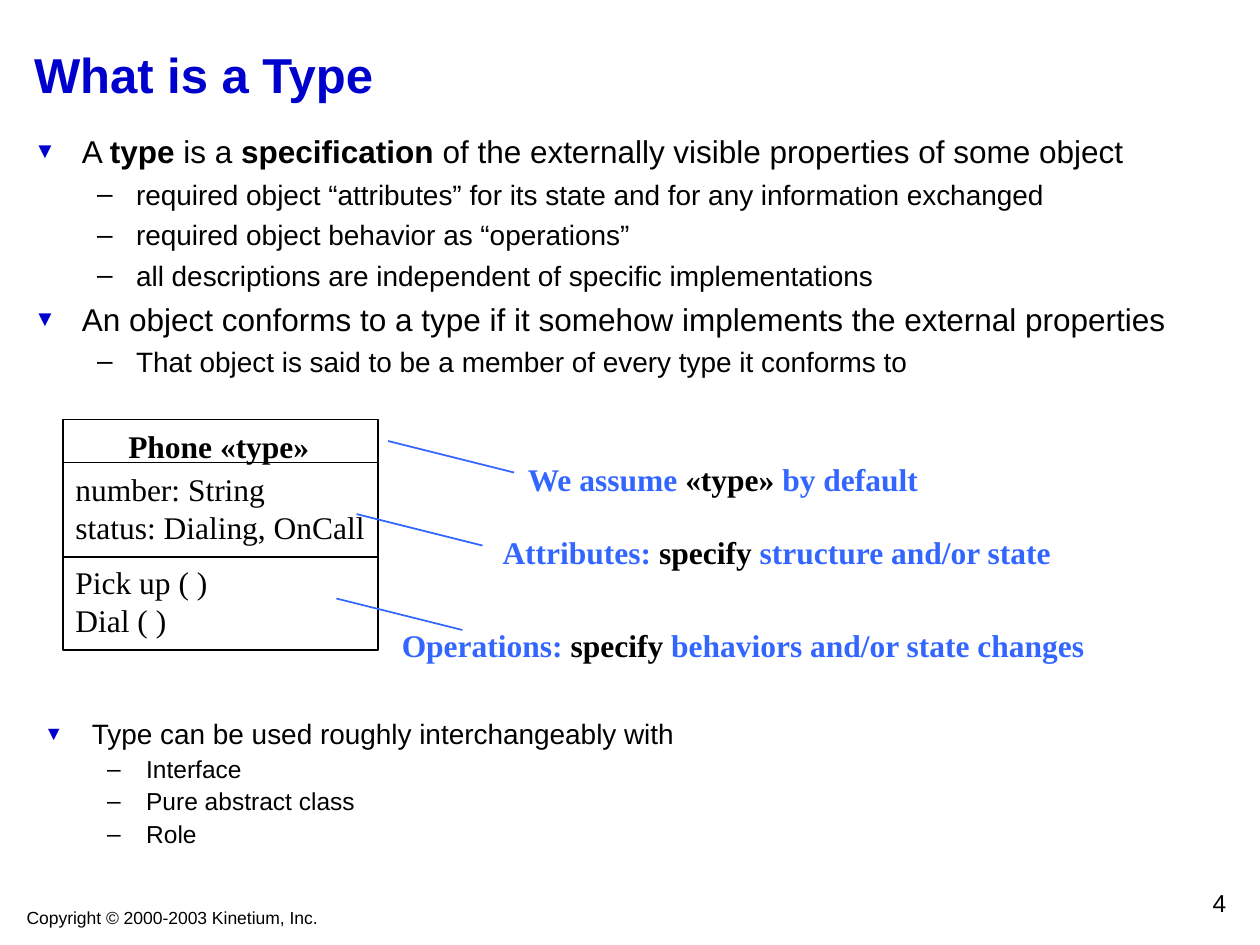
from lxml import etree
from pptx import Presentation
from pptx.dml.color import RGBColor
from pptx.enum.shapes import MSO_CONNECTOR, MSO_SHAPE
from pptx.enum.text import MSO_ANCHOR, MSO_AUTO_SIZE, PP_ALIGN
from pptx.oxml.ns import qn
from pptx.util import Inches, Pt

LEFT, CENTER, RIGHT = PP_ALIGN.LEFT, PP_ALIGN.CENTER, PP_ALIGN.RIGHT
TOP, MIDDLE = MSO_ANCHOR.TOP, MSO_ANCHOR.MIDDLE
NO_RESIZE = MSO_AUTO_SIZE.NONE
STRAIGHT, RECTANGLE = MSO_CONNECTOR.STRAIGHT, MSO_SHAPE.RECTANGLE

BLACK = RGBColor(0x00, 0x00, 0x00)
TITLE_BLUE = RGBColor(0x00, 0x00, 0xCC)
CALLOUT_BLUE = RGBColor(0x33, 0x66, 0xFF)
SANS, SERIF = "Arial", "Times New Roman"

LEVELS = [
    {"margin": 0.38, "indent": -0.38, "mark": "▼", "color": TITLE_BLUE, "percent": 70},
    {"margin": 0.81, "indent": -0.31, "mark": "–", "color": BLACK, "percent": 100},
]

DEFINITION = [
    (0, [("A ", False), ("type", True), (" is a ", False), ("specification", True),
         (" of the externally visible properties of some object", False)]),
    (1, [("required object “attributes” for its state and for any information exchanged", False)]),
    (1, [("required object behavior as “operations”", False)]),
    (1, [("all descriptions are independent of specific implementations", False)]),
    (0, [("An object conforms to a type if it somehow implements the external properties", False)]),
    (1, [("That object is said to be a member of every type it conforms to", False)]),
]
SYNONYMS = [
    (0, [("Type can be used roughly interchangeably with", False)]),
    (1, [("Interface", False)]),
    (1, [("Pure abstract class", False)]),
    (1, [("Role", False)]),
]
CALLOUTS = [
    ((4.09, 3.6, 3.31, 0.4), (4.08, 3.75), ("We assume ", "«type»", " by default")),
    ((3.89, 4.18, 4.56, 0.4), (3.83, 4.33), ("Attributes: ", "specify", " structure and/or state")),
    ((3.09, 4.92, 5.62, 0.4), (3.67, 5), ("Operations: ", "specify", " behaviors and/or state changes")),
]


def add_run(paragraph, text, size, font=SANS, color=BLACK, bold=False):
    run = paragraph.add_run()
    run.text = text
    run.font.size = Pt(size)
    run.font.name = font
    run.font.bold = bold
    run.font.color.rgb = color


def place(shape, box):
    shape.left, shape.top, shape.width, shape.height = map(Inches, box)


def add_label(slide, box, lines, size, font=SERIF, bold=False, align=LEFT, anchor=MIDDLE):
    shape = slide.shapes.add_textbox(*map(Inches, box))
    frame = shape.text_frame
    frame.word_wrap = False
    frame.vertical_anchor = anchor
    for number, runs in enumerate(lines):
        paragraph = frame.add_paragraph() if number else frame.paragraphs[0]
        paragraph.alignment = align
        for text, color in runs:
            add_run(paragraph, text, size, font, color, bold)


def add_line(slide, start, end, color):
    line = slide.shapes.add_connector(STRAIGHT, *map(Inches, start + end))
    line.line.color.rgb = color
    line.line.width = Pt(1)
    etree.SubElement(line._element.spPr, qn("a:effectLst"))


def set_bullet(paragraph, level):
    style = LEVELS[level]
    paragraph.level = level
    properties = paragraph._p.get_or_add_pPr()
    properties.set("marL", str(Inches(style["margin"])))
    properties.set("indent", str(Inches(style["indent"])))
    color = etree.SubElement(properties, qn("a:buClr"))
    etree.SubElement(color, qn("a:srgbClr"), val=str(style["color"]))
    etree.SubElement(properties, qn("a:buSzPct"), val=str(style["percent"] * 1000))
    etree.SubElement(properties, qn("a:buFont"), typeface=SANS)
    etree.SubElement(properties, qn("a:buChar"), char=style["mark"])


def fill_title(shape, box, text):
    place(shape, box)
    frame = shape.text_frame
    frame.auto_size = NO_RESIZE
    frame.vertical_anchor = MIDDLE
    paragraph = frame.paragraphs[0]
    paragraph.alignment = LEFT
    add_run(paragraph, text, 28, color=TITLE_BLUE, bold=True)


def fill_list(shape, box, items, sizes, spaces, line_spacing):
    place(shape, box)
    frame = shape.text_frame
    frame.auto_size = NO_RESIZE
    frame.vertical_anchor = TOP
    for number, (level, runs) in enumerate(items):
        paragraph = frame.add_paragraph() if number else frame.paragraphs[0]
        set_bullet(paragraph, level)
        paragraph.space_before = Pt(spaces[level] if number else 0)
        paragraph.line_spacing = line_spacing
        for text, bold in runs:
            add_run(paragraph, text, sizes[level], bold=bold)


def add_type_box(slide, box):
    left, top, width, height = box
    outline = slide.shapes.add_shape(RECTANGLE, *map(Inches, box))
    outline.shadow.inherit = False
    outline.fill.background()
    outline.line.color.rgb = BLACK
    outline.line.width = Pt(1)
    for offset in (0.34, 1.09):
        add_line(slide, (left, top + offset), (left + width, top + offset), BLACK)
    add_label(slide, (left + 0.42, top + 0.01, 1.64, 0.4), [[("Phone «type»", BLACK)]], 18, bold=True)
    add_label(slide, (left, top + 0.35, width, 0.7),
              [[("number: String", BLACK)], [("status: Dialing, OnCall", BLACK)]], 18)
    add_label(slide, (left, top + 1.09, 1.31, 0.7),
              [[("Pick up ( )", BLACK)], [("Dial ( )", BLACK)]], 18)


def add_callout(slide, box, line_start, texts):
    colors = (CALLOUT_BLUE, BLACK, CALLOUT_BLUE)
    add_label(slide, box, [list(zip(texts, colors))], 18, bold=True)
    x, y = line_start
    add_line(slide, line_start, (x - 1, y - 0.25), CALLOUT_BLUE)


def main():
    presentation = Presentation()
    presentation.slide_width, presentation.slide_height = Inches(10), Inches(7.5)
    slide = presentation.slides.add_slide(presentation.slide_layouts[3])
    title, definition, synonyms = slide.placeholders
    add_label(slide, (0.11, 7.15, 2.51, 0.27), [[("Copyright © 2000-2003 Kinetium, Inc.", BLACK)]],
              10, SANS, align=CENTER, anchor=TOP)
    fill_title(title, (0.17, 0.17, 9.67, 0.83), "What is a Type")
    fill_list(definition, (0.17, 1, 9.5, 2.17), DEFINITION, (18, 16), (4.5, 4), 1.0)
    fill_list(synonyms, (0.25, 5.67, 9.58, 1.17), SYNONYMS, (16, 14), (4, 3.5), 0.9)
    add_type_box(slide, (0.5, 3.33, 2.5, 1.83))
    for box, line_start, texts in CALLOUTS:
        add_callout(slide, box, line_start, texts)
    add_label(slide, (7.75, 7, 2.08, 0.33), [[("4", BLACK)]], 14, SANS, align=RIGHT, anchor=TOP)
    presentation.save("out.pptx")


if __name__ == "__main__":
    main()
